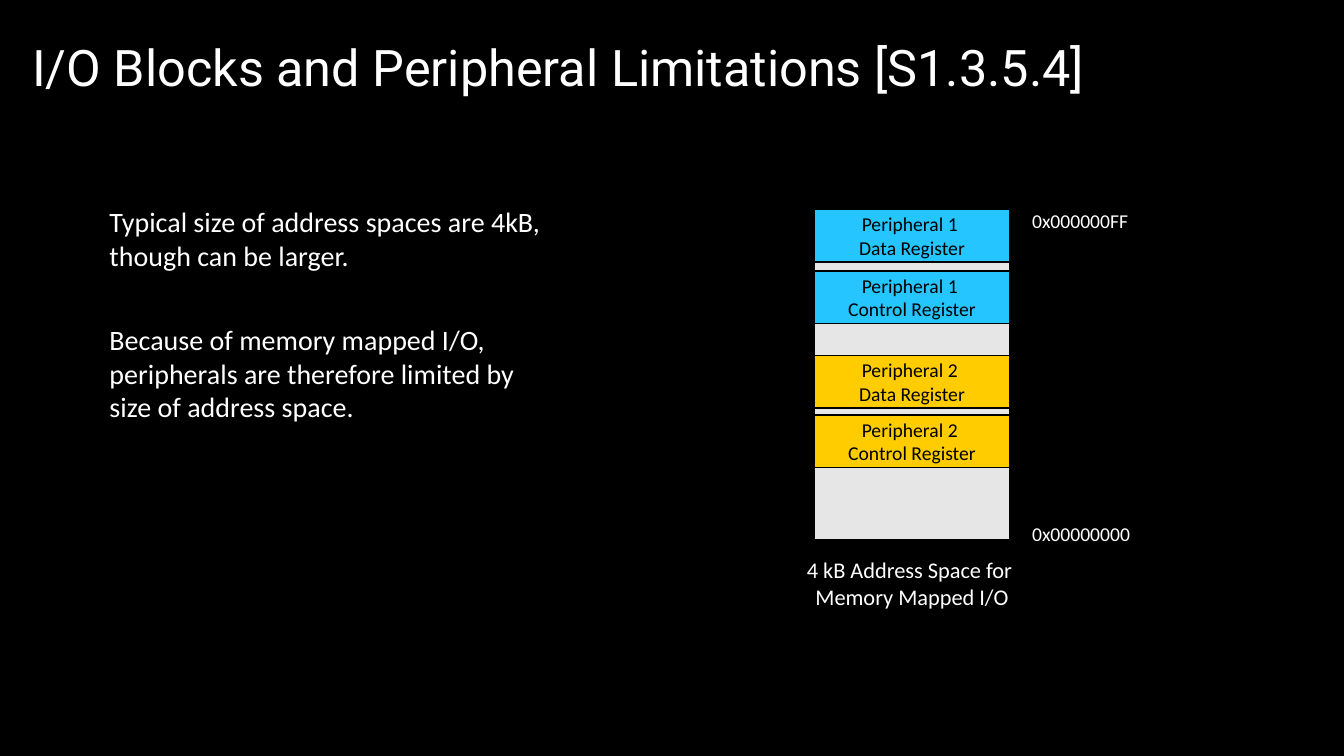
from pptx import Presentation
from pptx.dml.color import RGBColor
from pptx.enum import shapes, text
from pptx.util import Cm, Pt

BLACK = RGBColor(0x00, 0x00, 0x00)
WHITE = RGBColor(0xFF, 0xFF, 0xFF)
GREY = RGBColor(0xE7, 0xE6, 0xE6)
BLUE = RGBColor(0x25, 0xC6, 0xFF)
YELLOW = RGBColor(0xFF, 0xCC, 0x00)

REGISTER_HEIGHT = 1.32
REGISTERS = [
    (0, BLUE, "Peripheral 1 \nData Register"),
    (1.55, BLUE, "Peripheral 1 \nControl Register"),
    (3.68, YELLOW, "Peripheral 2 \nData Register"),
    (5.18, YELLOW, "Peripheral 2 \nControl Register"),
]


def write(tf, content, size, color=WHITE, font="Calibri", align=text.PP_ALIGN.LEFT):
    """Fill a text frame and format all its runs."""
    tf.text = content
    for p in tf.paragraphs:
        p.alignment = align
        for r in p.runs:
            r.font.name = font
            r.font.size = Pt(size)
            r.font.color.rgb = color


def add_label(s, x, y, w, h, content, size, align=text.PP_ALIGN.LEFT, wrap=True):
    """Add a white text box."""
    tf = s.shapes.add_textbox(Cm(x), Cm(y), Cm(w), Cm(h)).text_frame
    tf.word_wrap = wrap
    tf.auto_size = text.MSO_AUTO_SIZE.SHAPE_TO_FIT_TEXT
    write(tf, content, size, align=align)


def add_block(s, x, y, w, h, fill, content=""):
    """Add a memory block with a thin black outline."""
    sp = s.shapes.add_shape(shapes.MSO_SHAPE.RECTANGLE, Cm(x), Cm(y), Cm(w), Cm(h))
    sp.shadow.inherit = False
    sp.fill.solid()
    sp.fill.fore_color.rgb = fill
    sp.line.color.rgb = BLACK
    sp.line.width = Pt(1)
    sp.text_frame.vertical_anchor = text.MSO_ANCHOR.MIDDLE
    write(sp.text_frame, content, 14, BLACK, align=text.PP_ALIGN.CENTER)


def add_title(s, x, y, w, h):
    """Place and format the slide title."""
    sp = s.shapes.title
    sp.left, sp.top, sp.width, sp.height = Cm(x), Cm(y), Cm(w), Cm(h)
    tf = sp.text_frame
    tf.auto_size = text.MSO_AUTO_SIZE.NONE
    tf.vertical_anchor = text.MSO_ANCHOR.MIDDLE
    write(tf, "I/O Blocks and Peripheral Limitations [S1.3.5.4]", 36, font="Roboto")
    tf.paragraphs[0].line_spacing = 0.9


def add_explanation(s, x, y, w):
    """Add the two statements about address space size."""
    add_label(s, x, y, w, 1.96,
              "Typical size of address spaces are 4kB, though can be larger.", 20)
    add_label(s, x, y + 2.97, w, 2.82,
              "Because of memory mapped I/O, peripherals are therefore limited by "
              "size of address space.", 20)


def add_memory_map(s, x, y, w, h):
    """Draw the address space with its registers, addresses and caption."""
    add_block(s, x, y, w, h, GREY)
    for offset, fill, name in REGISTERS:
        add_block(s, x, y + offset, w, REGISTER_HEIGHT, fill, name)
    add_label(s, x + w + 0.31, y - 0.15, 3.38, 0.86, "0x000000FF", 14)
    add_label(s, x + w + 0.31, y + h - 0.58, 3.38, 0.86, "0x00000000", 14)
    add_label(s, x - 0.48, y + h + 0.28, w + 0.96, 1.63,
              "4 kB Address Space for \nMemory Mapped I/O", 16,
              text.PP_ALIGN.CENTER, wrap=False)


def main():
    """Build and save the slide."""
    prs = Presentation()
    prs.slide_width, prs.slide_height = Cm(33.87), Cm(19.05)
    s = prs.slides.add_slide(prs.slide_layouts[5])
    s.background.fill.solid()
    s.background.fill.fore_color.rgb = BLACK
    add_title(s, 0.56, 0.53, 32.74, 2.46)
    add_explanation(s, 2.51, 5.03, 11.89)
    add_memory_map(s, 20.52, 5.28, 4.93, 8.33)
    prs.save("out.pptx")


if __name__ == "__main__":
    main()
